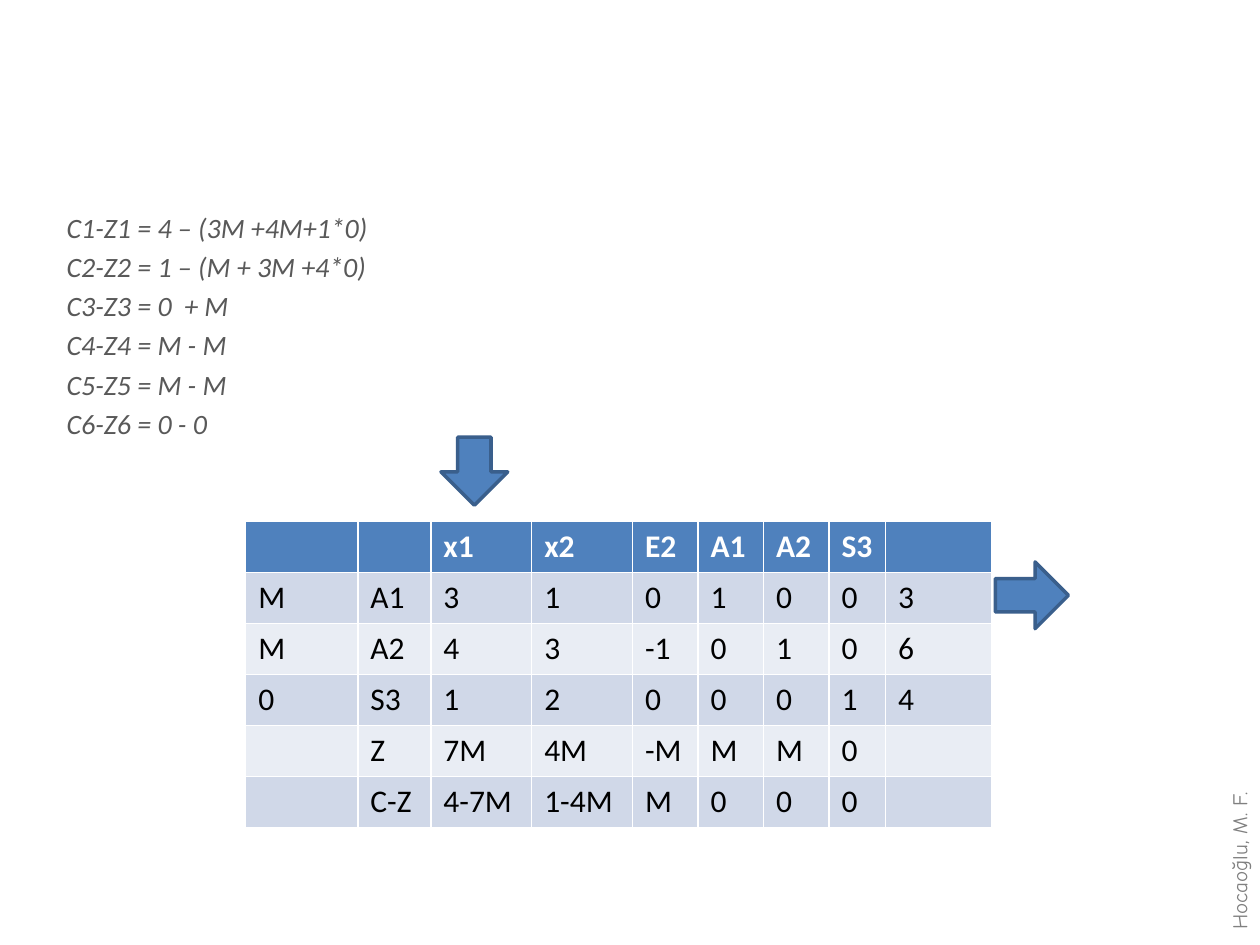
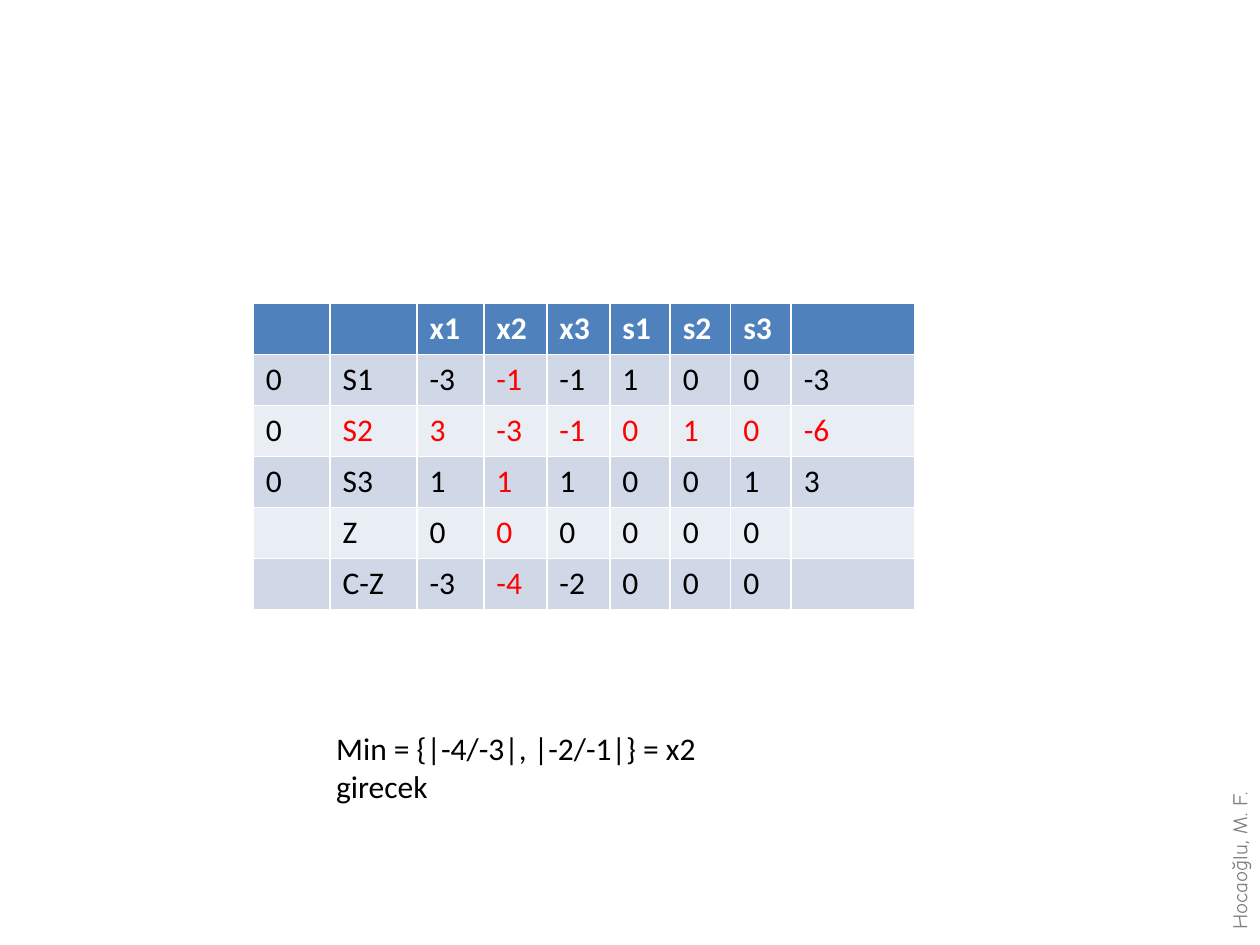
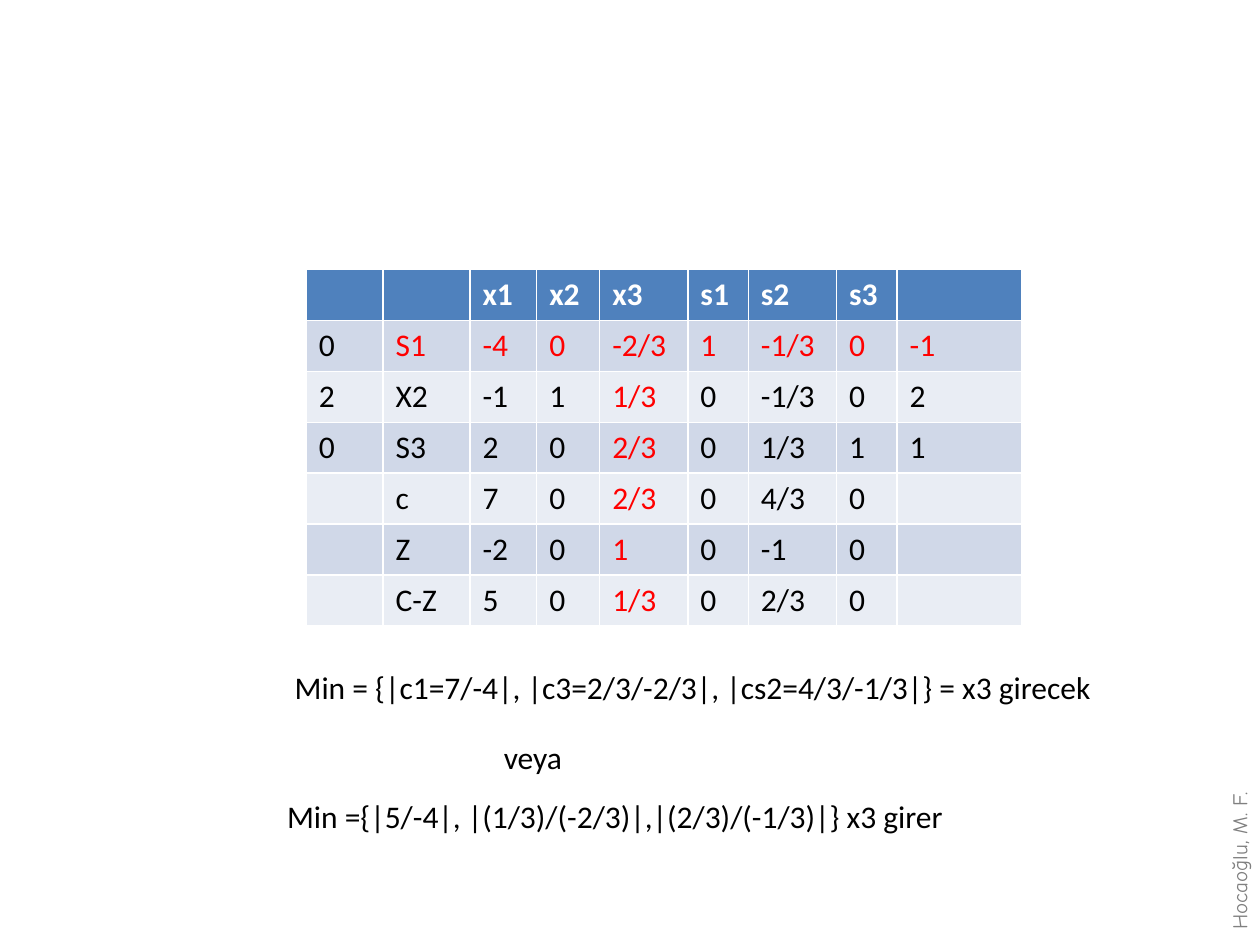
"""Build three slides of simplex tableaux with their ratio tests."""
from pptx import Presentation, util as u
from pptx.dml.color import RGBColor
from pptx.enum import shapes, text

BLUE = RGBColor(0x4F, 0x81, 0xBD)
EDGE = RGBColor(0x3A, 0x5F, 0x8C)
BANDS = [RGBColor(0xE9, 0xED, 0xF4), RGBColor(0xD0, 0xD8, 0xE8)]
WHITE = RGBColor(0xFF, 0xFF, 0xFF)
BLACK = RGBColor(0, 0, 0)
RED = RGBColor(0xFF, 0, 0)
GREY = RGBColor(0x80, 0x80, 0x80)
DARK = RGBColor(0x59, 0x59, 0x59)

deck = Presentation()
deck.slide_width, deck.slide_height = u.Inches(10), u.Inches(7.5)
UNIT = deck.slide_width / 100


def grid(*marks):
    """Turn grid units, a hundred to the slide's width, into lengths."""
    return [u.Emu(round(mark * UNIT)) for mark in marks]


def write(para, line, size=18, color=BLACK, font="Calibri", bold=False, slant=False):
    """Add one styled run to a paragraph."""
    run = para.add_run()
    run.text = line
    face = run.font
    face.name, face.size, face.bold, face.italic = font, u.Pt(size), bold, slant
    face.color.rgb = color


tables = [
    dict(at=(19.5, 41.4), high=24.3, pivot=None,
         cols=[8.9, 5.8, 8, 8, 5.2, 5.2, 5.2, 4.5, 8.4],
         rows=[",,x1,x2,E2,A1,A2,S3,",
               "M,A1,3,1,0,1,0,0,3",
               "M,A2,4,3,-1,0,1,0,6",
               "0,S3,1,2,0,0,0,1,4",
               ",Z,7M,4M,-M,M,M,0,",
               ",C-Z,4-7M,1-4M,M,0,0,0,"]),
    dict(at=(20.1, 24.1), high=24.3, pivot=(2, 3),
         cols=[6.1, 6.9, 5.3, 5, 5, 4.8, 4.8, 4.8, 9.8],
         rows=[",,x1,x2,x3,s1,s2,s3,",
               "0,S1,-3,-1,-1,1,0,0,-3",
               "0,S2,3,-3,-1,0,1,0,-6",
               "0,S3,1,1,1,0,0,1,3",
               ",Z,0,0,0,0,0,0,",
               ",C-Z,-3,-4,-2,0,0,0,"]),
    dict(at=(24.3, 21.4), high=28.3, pivot=(1, 4),
         cols=[6.1, 6.9, 5.3, 5, 7, 4.8, 7, 4.8, 9.9],
         rows=[",,x1,x2,x3,s1,s2,s3,",
               "0,S1,-4,0,-2/3,1,-1/3,0,-1",
               "2,X2,-1,1,1/3,0,-1/3,0,2",
               "0,S3,2,0,2/3,0,1/3,1,1",
               ",c,7,0,2/3,0,4/3,0,",
               ",Z,-2,0,1,0,-1,0,",
               ",C-Z,5,0,1/3,0,2/3,0,"]),
]
costs = ["C1-Z1 = 4 – (3M +4M+1*0)", "C2-Z2 = 1 – (M + 3M +4*0)", "C3-Z3 = 0  + M",
         "C4-Z4 = M - M", "C5-Z5 = M - M", "C6-Z6 = 0 - 0"]
calc = dict(size=16, color=DARK, slant=True)
notes = [
    [((4.3, 16.2, 91.9, 53.4), costs, calc)],
    [((25.7, 57.4, 36, 7.1), ["Min = {|-4/-3|, |-2/-1|} = x2 girecek"], {})],
    [((22.4, 52.5, 68.7, 7.1),
      ["Min = {|c1=7/-4|, |c3=2/3/-2/3|, |cs2=4/3/-1/3|} = x3 girecek"], {}),
     ((21.8, 62.8, 61.3, 4), ["Min ={|5/-4|, |(1/3)/(-2/3)|,|(2/3)/(-1/3)|} x3 girer"], {}),
     ((39, 58.1, 7.4, 4), ["veya"], {})],
]
credit = ((90.2, 65.1, 16.3, 3), ["Hocaoğlu, M. F."],
          dict(size=12, color=GREY, font="Comic Neue"))

for data, boxes in zip(tables, notes):
    slide = deck.slides.add_slide(deck.slide_layouts[6])

    for place, lines, style in [credit] + boxes:
        box = slide.shapes.add_textbox(*grid(*place))
        box.rotation = 270 if lines is credit[1] else 0
        frame = box.text_frame
        frame.word_wrap = True
        frame.vertical_anchor = text.MSO_ANCHOR.TOP
        for n, line in enumerate(lines):
            para = frame.add_paragraph() if n else frame.paragraphs[0]
            if n:
                para.space_before = u.Pt(3.2)
            write(para, line, **style)

    rows, cols = data["rows"], data["cols"]
    size = sum(cols), data["high"]
    table = slide.shapes.add_table(len(rows), len(cols), *grid(*data["at"], *size)).table
    for col, wide in zip(table.columns, grid(*cols)):
        col.width = wide
    for r, row in enumerate(rows):
        for c, word in enumerate(row.split(",")):
            cell = table.cell(r, c)
            cell.fill.solid()
            cell.fill.fore_color.rgb = BANDS[r % 2] if r else BLUE
            color = BLACK if r else WHITE
            if data["pivot"] and r and c:
                line, key = data["pivot"]
                color = RED if r == line or c == key else color
            if word:
                write(cell.text_frame.paragraphs[0], word, color=color, bold=r == 0)

for kind, place in [(shapes.MSO_SHAPE.DOWN_ARROW, (35, 34.7, 5.3, 5.4)),
                    (shapes.MSO_SHAPE.RIGHT_ARROW, (79, 44.6, 5.8, 5.3))]:
    arrow = deck.slides[0].shapes.add_shape(kind, *grid(*place))
    arrow.shadow.inherit = False
    arrow.fill.solid()
    arrow.fill.fore_color.rgb = BLUE
    arrow.line.color.rgb = EDGE
    arrow.line.width = u.Pt(2)

deck.save("out.pptx")
